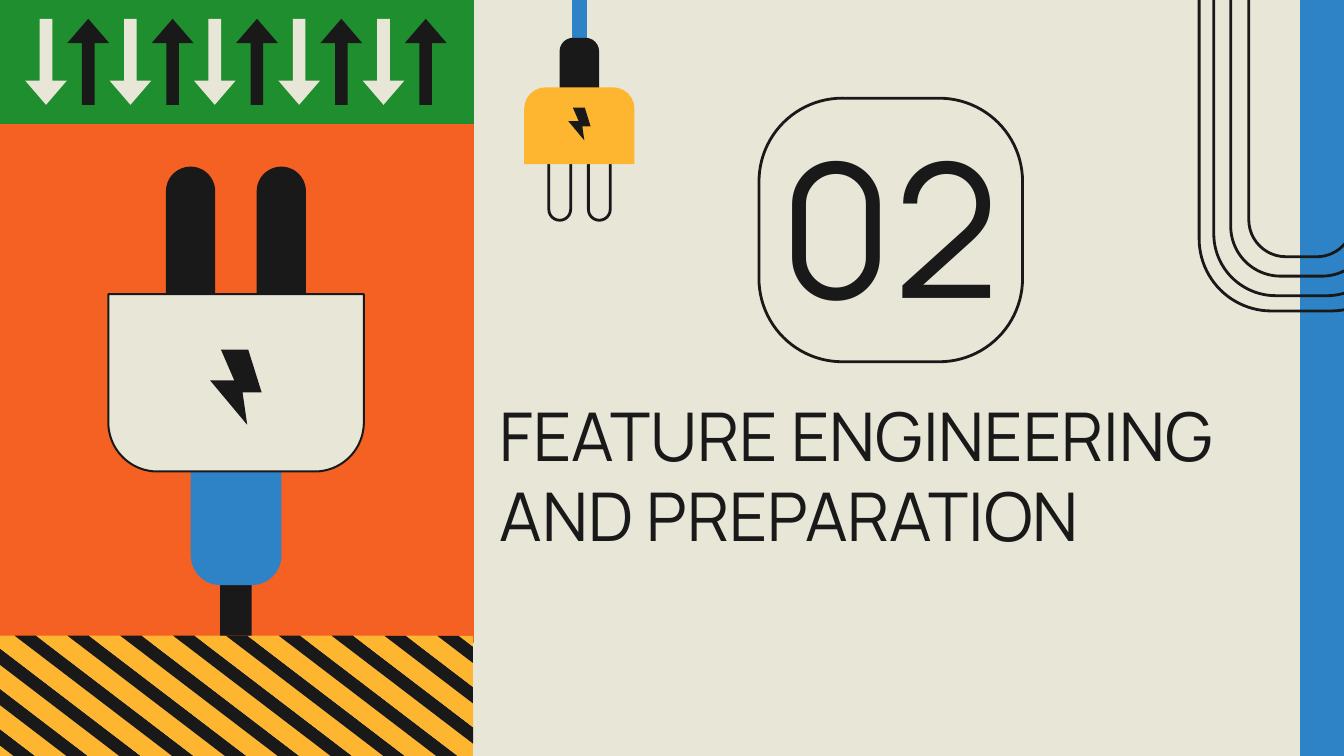
from dataclasses import dataclass

from pptx import Presentation
from pptx.dml.color import RGBColor
from pptx.enum.shapes import MSO_SHAPE
from pptx.enum.text import MSO_ANCHOR, PP_ALIGN
from pptx.util import Pt

RECT = MSO_SHAPE.RECTANGLE
ROUND = MSO_SHAPE.ROUNDED_RECTANGLE
ROUND_TOP = MSO_SHAPE.ROUND_2_SAME_RECTANGLE
UP, DOWN = MSO_SHAPE.UP_ARROW, MSO_SHAPE.DOWN_ARROW
TOP, MIDDLE = MSO_ANCHOR.TOP, MSO_ANCHOR.MIDDLE
LEFT, CENTER = PP_ALIGN.LEFT, PP_ALIGN.CENTER


@dataclass(frozen=True)
class Theme:
    cream: str = "E8E6D6"
    ink: str = "191919"
    blue: str = "2E83C7"
    orange: str = "F46123"
    green: str = "1F8E2E"
    yellow: str = "FEB530"
    font: str = "Manrope"
    title_size: int = 36
    number_size: int = 100
    thin: float = 0.75
    body_line: float = 1.09
    outline: float = 1.5


class Painter:
    def __init__(self, slide, theme):
        self.slide = slide
        self.theme = theme

    def background(self, color):
        fill = self.slide.background.fill
        fill.solid()
        fill.fore_color.rgb = RGBColor.from_string(color)

    def style(self, shape, fill, line, width):
        shape.shadow.inherit = False
        if fill:
            shape.fill.solid()
            shape.fill.fore_color.rgb = RGBColor.from_string(fill)
        else:
            shape.fill.background()
        if line:
            shape.line.color.rgb = RGBColor.from_string(line)
            shape.line.width = Pt(width)
        else:
            shape.line.fill.background()
        return shape

    def shape(self, kind, frame, fill=None, line=None, width=1.5, adjust=(), rotation=0):
        shape = self.slide.shapes.add_shape(kind, *map(Pt, frame))
        for index, value in enumerate(adjust):
            shape.adjustments[index] = value
        shape.rotation = rotation
        return self.style(shape, fill, line, width)

    def polygon(self, points, fill):
        start, *rest = [(Pt(x), Pt(y)) for x, y in points]
        builder = self.slide.shapes.build_freeform(*start)
        builder.add_line_segments(rest, close=True)
        return self.style(builder.convert_to_shape(), fill, None, 0)

    def bolt(self, left, top, width, height):
        outline = [(0.74, 0), (1, 0.57), (0.63, 0.57), (0.72, 1),
                   (0, 0.41), (0.47, 0.41), (0.21, 0)]
        points = [(left + x * width, top + y * height) for x, y in outline]
        self.polygon(points, self.theme.ink)

    def text(self, frame, lines, size, align=LEFT, anchor=TOP, margin_top=7.2):
        box = self.slide.shapes.add_textbox(*map(Pt, frame))
        frame_format = {"word_wrap": True, "vertical_anchor": anchor,
                        "margin_left": Pt(7.2), "margin_right": Pt(7.2),
                        "margin_top": Pt(margin_top), "margin_bottom": Pt(7.2)}
        for name, value in frame_format.items():
            setattr(box.text_frame, name, value)
        font_format = {"name": self.theme.font, "size": Pt(size), "bold": False}
        for index, line in enumerate(lines):
            para = box.text_frame.add_paragraph() if index else box.text_frame.paragraphs[0]
            para.alignment = align
            span = para.add_run()
            span.text = line
            for name, value in font_format.items():
                setattr(span.font, name, value)
            span.font.color.rgb = RGBColor.from_string(self.theme.ink)


def clamp(value, low, high):
    return min(max(value, low), high)


def stripe(start, end, left=-0.7, top=340.6, right=253.4, bottom=405, run=84.3):
    """Corners of a slanted stripe, cut to the band; start and end lie on its top edge."""
    slope = (bottom - top) / run

    def cut(origin, x):
        x = clamp(x, left, right)
        return x, clamp(top + (x - origin) * slope, top, bottom)

    points = [cut(end, end), cut(end, end + run)]
    if start + run < right < end + run:
        points.append((right, bottom))
    points += [cut(start, start + run), cut(start, start)]
    if start < left < end:
        points.append((left, top))
    return list(dict.fromkeys(points))


def main():
    theme = Theme()
    deck = Presentation()
    deck.slide_width, deck.slide_height = Pt(720), Pt(405)
    painter = Painter(deck.slides.add_slide(deck.slide_layouts[6]), theme)
    painter.background(theme.cream)

    # Blue edge and nested pipes
    painter.shape(RECT, (697, 0, 23, 405), theme.blue, theme.blue, theme.thin)
    for length, breadth in [(375, 109.4), (358.6, 93.6), (337.7, 75.6), (316.8, 56.2)]:
        frame = (697.1 - length / 2, -20.9 - breadth / 2, length, breadth)
        painter.shape(ROUND, frame, None, theme.ink, theme.outline, [0.354], 270)

    # Left panels
    for top, height, color in [(61.2, 283, theme.orange), (0, 66.2, theme.green)]:
        painter.shape(RECT, (-0.7, top, 254.2, height), color, color, theme.thin)

    # Hazard stripes
    period, yellow_width, black_width = 28.3, 16.8, 11.5
    for index in range(-3, 10):
        edge = 7.9 + index * period
        for start, end, color in [(edge - yellow_width, edge, theme.yellow),
                                  (edge, edge + black_width, theme.ink)]:
            points = stripe(start, end)
            if len(points) > 2:
                painter.polygon(points, color)

    # Section number and title
    painter.shape(ROUND, (406.6, 52.6, 141.2, 141.2), None, theme.ink, theme.outline, [0.316])
    painter.text((260.6, 203.8, 434.9, 111.6),
                 ["FEATURE ENGINEERING", "AND PREPARATION"], theme.title_size)
    painter.text((395.3, 79.9, 162.7, 87.1), ["02"], theme.number_size, CENTER, MIDDLE, 0)

    # Large plug
    painter.shape(RECT, (118, 278, 16.9, 62.6), theme.ink)
    painter.shape(ROUND, (102.2, 205, 48.6, 108.5), theme.blue, adjust=[0.33])
    for left in (137.5, 88.9):
        painter.shape(ROUND, (left, 89.3, 26.4, 124.6), theme.ink, adjust=[0.5])
    painter.shape(ROUND_TOP, (58, 157.6, 136.9, 95), theme.cream, theme.ink,
                  theme.body_line, [0.277, 0], 180)
    painter.bolt(112.6, 187.3, 27.6, 40.3)

    # Alternating arrows
    for index in range(10):
        kind, color = (UP, theme.ink) if index % 2 else (DOWN, theme.cream)
        painter.shape(kind, (13.5 + index * 22.6, 10.1, 22.4, 46.1), color, adjust=[0.3, 0.58])

    # Small hanging plug
    painter.shape(RECT, (306.7, -1.4, 7.2, 43.2), theme.blue, theme.blue, theme.thin)
    painter.shape(ROUND, (299.8, 20.3, 21.2, 47), theme.ink, adjust=[0.34])
    for left in (294, 315.2):
        painter.shape(ROUND, (left, 64, 11.7, 54), None, theme.ink, theme.outline, [0.5])
    painter.shape(ROUND_TOP, (280.8, 46.8, 59.1, 41.1), theme.yellow, adjust=[0.28, 0])
    painter.bolt(304.4, 57.7, 12, 17.5)

    deck.save("out.pptx")


if __name__ == "__main__":
    main()
